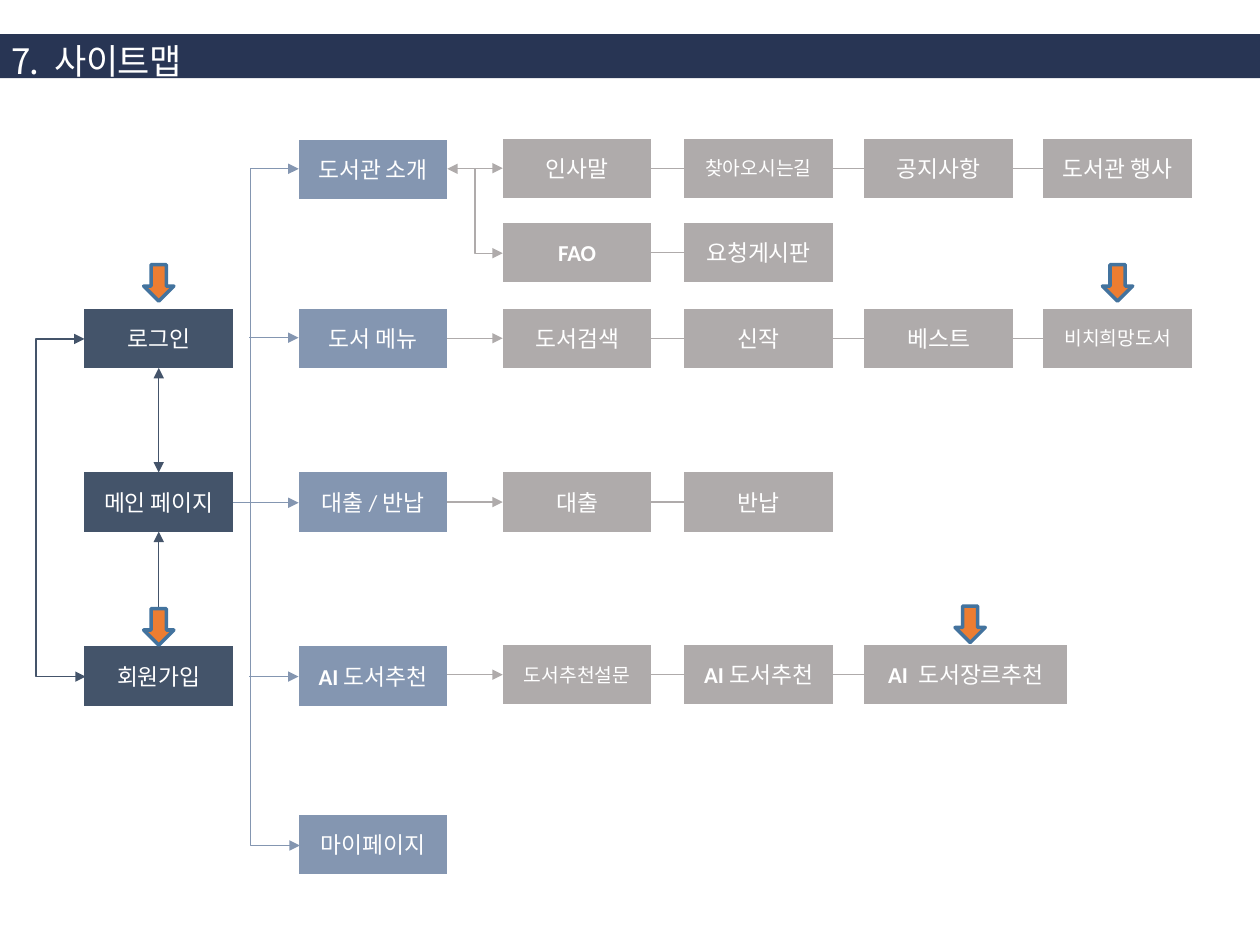
from lxml import etree
from pptx import Presentation
from pptx.dml.color import RGBColor
from pptx.enum import shapes, text
from pptx.oxml.ns import qn
from pptx.util import Inches, Pt

COLORS = {
    "bar": "283554", "main": "44546A", "menu": "8496B1", "page": "AFABAB",
    "white": "FFFFFF", "marker": "ED7D31", "marker_line": "43739E",
}
BOX_WIDTH, BOX_HEIGHT = 1.18, 0.47
MIDDLE = BOX_HEIGHT / 2
MAIN_LEFT, MENU_LEFT = 0.67, 2.37
MENU_RIGHT = MENU_LEFT + BOX_WIDTH
PAGE_LEFTS = [3.99, 5.43, 6.86, 8.28]

presentation = Presentation()
presentation.slide_width, presentation.slide_height = Inches(10), Inches(7.5)
slide = presentation.slides.add_slide(presentation.slide_layouts[6])


def add_block(kind, left, top, width, height, color, runs=(), size=13):
    """Add a filled shape with centred (text, bold) runs."""
    shape = slide.shapes.add_shape(
        kind, Inches(left), Inches(top), Inches(width), Inches(height))
    shape.shadow.inherit = False
    shape.fill.solid()
    shape.fill.fore_color.rgb = RGBColor.from_string(COLORS[color])
    shape.line.fill.background()
    shape.text_frame.vertical_anchor = text.MSO_ANCHOR.MIDDLE
    paragraph = shape.text_frame.paragraphs[0]
    paragraph.alignment = text.PP_ALIGN.CENTER
    for words, bold in runs:
        run = paragraph.add_run()
        run.text = words
        run.font.name, run.font.size, run.font.bold = "Calibri", Pt(size), bold
        run.font.color.rgb = RGBColor.from_string(COLORS["white"])
    return shape


def add_link(start, end, color, ends=(), bend=None):
    """Join two points; bend is the turning point as a share of the width."""
    kind = shapes.MSO_CONNECTOR.STRAIGHT if bend is None else shapes.MSO_CONNECTOR.ELBOW
    link = slide.shapes.add_connector(kind, *(Inches(v) for v in (*start, *end)))
    link.line.color.rgb = RGBColor.from_string(COLORS[color])
    link.line.width = Pt(0.75)
    properties = link._element.spPr
    for name in ends:
        etree.SubElement(link.line._get_or_add_ln(), qn(f"a:{name}"), type="triangle")
    etree.SubElement(properties, qn("a:effectLst"))
    if bend is not None:
        link.adjustments if hasattr(link, "adjustments") else None
        guides = properties.find(qn("a:prstGeom")).get_or_add_avLst()
        etree.SubElement(guides, qn("a:gd"), name="adj1", fmla=f"val {round(bend * 100000)}")


PROCESS = shapes.MSO_SHAPE.FLOWCHART_PROCESS
TAIL, BOTH = ("tailEnd",), ("headEnd", "tailEnd")

# Title
add_block(shapes.MSO_SHAPE.RECTANGLE, 0, 0.27, 10, 0.35, "bar")
title = slide.shapes.add_textbox(Inches(0.09), Inches(0.3), Inches(2.73), Inches(0.35))
frame = title.text_frame
frame.word_wrap = True
frame.margin_left = frame.margin_right = frame.margin_bottom = 0
frame.margin_top = Inches(0.01)
frame.text = "7. 사이트맵"
paragraph = frame.paragraphs[0]
paragraph.space_before = Pt(1)
run = paragraph.runs[0]
run.font.name, run.font.size = "Noto Sans CJK KR", Pt(20)
run.font.color.rgb = RGBColor.from_string(COLORS["white"])
properties = run._r.get_or_add_rPr()
properties.set("spc", "-50")
etree.SubElement(properties, qn("a:ea"), typeface="Noto Sans CJK KR")

# Entry pages and the links between them
for top, label in [(2.45, "로그인"), (3.75, "메인 페이지"), (5.13, "회원가입")]:
    add_block(PROCESS, MAIN_LEFT, top, BOX_WIDTH, BOX_HEIGHT, "main", [(label, False)])
main_center = MAIN_LEFT + BOX_WIDTH / 2
add_link((main_center, 2.92), (main_center, 3.75), "main", BOTH)
add_link((main_center, 5.13), (main_center, 4.22), "main", BOTH)
add_link((MAIN_LEFT, 2.69), (MAIN_LEFT + 0.01, 5.37), "main", BOTH, bend=-39)

# Menus
menus = [
    (1.11, [("도서관 소개", False)]),
    (2.45, [("도서 메뉴", False)]),
    (3.75, [("대출/반납", False)]),
    (5.13, [("AI", True), ("도서추천", False)]),
    (6.47, [("마이페이지", False)]),
]
for top, runs in menus:
    add_block(PROCESS, MENU_LEFT, top, BOX_WIDTH, BOX_HEIGHT, "menu", runs)
add_link((MENU_LEFT, 1.34), (MENU_LEFT + 0.01, 6.71), "menu", BOTH, bend=-39)
for left, middle in [(1.98, 2.68), (1.85, 3.99), (1.98, 5.37)]:
    add_link((left, middle), (MENU_LEFT, middle), "menu", TAIL)

# Pages of each menu: top, start of the incoming arrow, (runs, size, width)
page_rows = [
    (1.1, 3.63, [([("인사말", False)], 13, BOX_WIDTH),
                 ([("찾아오시는길", False)], 11, BOX_WIDTH),
                 ([("공지사항", False)], 13, BOX_WIDTH),
                 ([("도서관 행사", False)], 13, BOX_WIDTH)]),
    (1.77, None, [([("FAO", True)], 13, BOX_WIDTH),
                  ([("요청게시판", False)], 13, BOX_WIDTH)]),
    (2.45, MENU_RIGHT, [([("도서검색", False)], 13, BOX_WIDTH),
                        ([("신작", False)], 13, BOX_WIDTH),
                        ([("베스트", False)], 13, BOX_WIDTH),
                        ([("비치희망도서", False)], 11, BOX_WIDTH)]),
    (3.75, MENU_RIGHT, [([("대출", False)], 13, BOX_WIDTH),
                        ([("반납", False)], 13, BOX_WIDTH)]),
    (5.12, MENU_RIGHT, [([("도서추천설문", False)], 11, BOX_WIDTH),
                        ([("AI", True), ("도서추천", False)], 13, BOX_WIDTH),
                        ([("AI ", True), ("도서장르추천", False)], 13, 1.61)]),
]
for top, arrow_start, pages in page_rows:
    middle = top + MIDDLE
    for column, (runs, size, width) in enumerate(pages):
        left = PAGE_LEFTS[column]
        add_block(PROCESS, left, top, width, BOX_HEIGHT, "page", runs, size)
        if column:
            add_link((PAGE_LEFTS[column - 1] + BOX_WIDTH, middle), (left, middle), "page")
    if arrow_start:
        add_link((arrow_start, middle), (PAGE_LEFTS[0], middle), "page", TAIL)
add_link((MENU_RIGHT, 1.34), (PAGE_LEFTS[0], 2.01), "page", BOTH, bend=0.5)

# Markers above the highlighted pages
for left, top in [(8.75, 2.1), (7.58, 4.81), (1.14, 2.1), (1.14, 4.83)]:
    marker = add_block(shapes.MSO_SHAPE.DOWN_ARROW, left, top, 0.24, 0.29, "marker")
    marker.line.color.rgb = RGBColor.from_string(COLORS["marker_line"])
    marker.line.width = Pt(2)

presentation.save("out.pptx")
